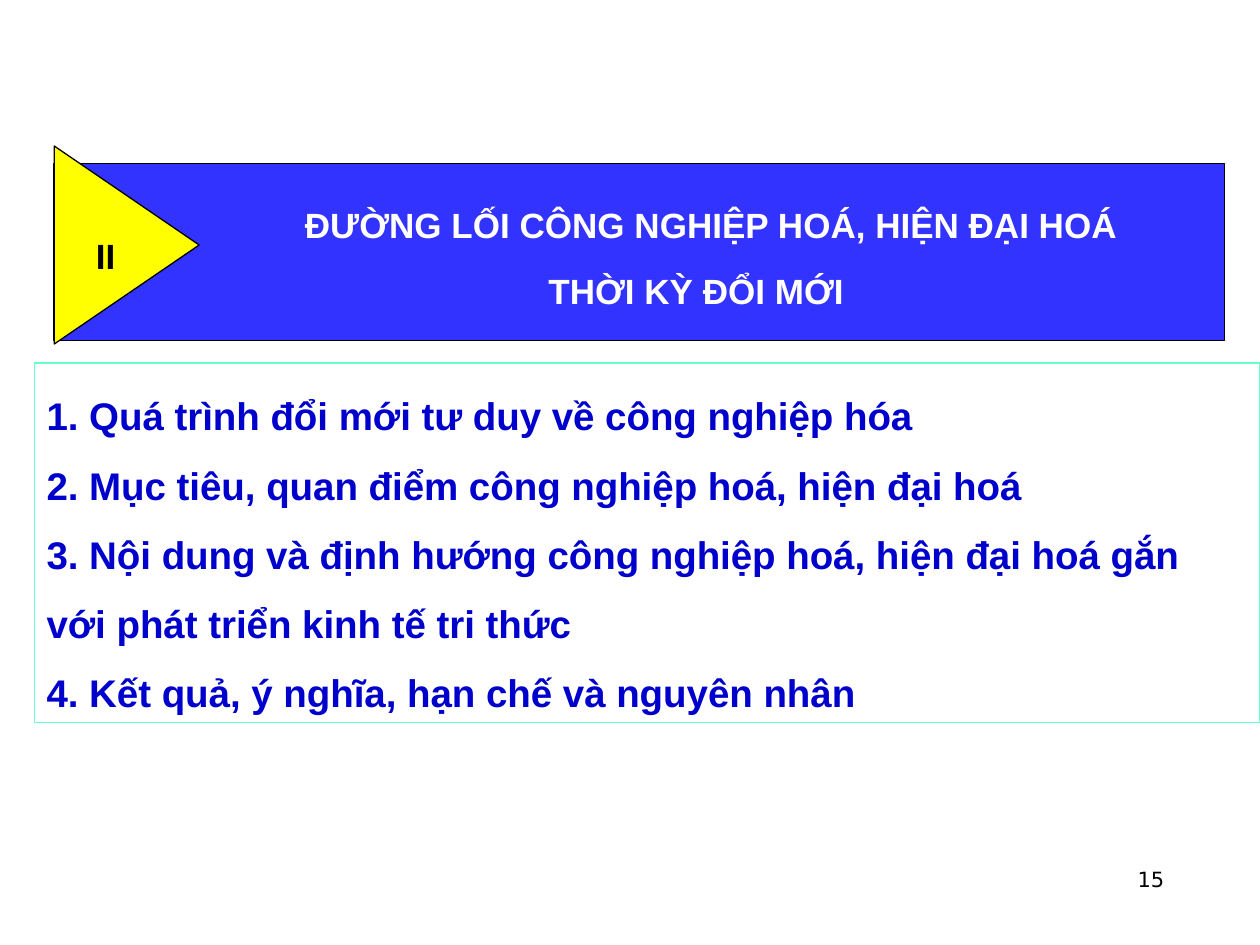
from dataclasses import dataclass

from pptx import Presentation
from pptx.dml.color import RGBColor
from pptx.enum.shapes import MSO_SHAPE
from pptx.enum.text import MSO_ANCHOR, PP_ALIGN
from pptx.util import Cm, Pt


@dataclass(frozen=True)
class Theme:
    font: str = "Arial"
    number_font: str = "DejaVu Sans"
    black: RGBColor = RGBColor(0, 0, 0)
    white: RGBColor = RGBColor(255, 255, 255)
    yellow: RGBColor = RGBColor(255, 255, 0)
    banner: RGBColor = RGBColor(0x33, 0x33, 0xFF)
    outline: RGBColor = RGBColor(0x66, 0xFF, 0xCC)
    topic: RGBColor = RGBColor(0, 0, 0xCC)
    topic_size: Pt = Pt(22)
    heading_size: Pt = Pt(20)
    number_size: Pt = Pt(12)
    line_width: Pt = Pt(0.75)


THEME = Theme()
HEADING = ["ĐƯỜNG LỐI CÔNG NGHIỆP HOÁ, HIỆN ĐẠI HOÁ", "THỜI KỲ ĐỔI MỚI"]
TOPICS = [
    "1. Quá trình đổi mới tư duy về công nghiệp hóa",
    "2. Mục tiêu, quan điểm công nghiệp hoá, hiện đại hoá",
    "3. Nội dung và định hướng công nghiệp hoá, hiện đại hoá gắn với phát triển kinh tế tri thức",
    "4. Kết quả, ý nghĩa, hạn chế và nguyên nhân",
]


def add_block(page, kind, bounds, line, fill=None):
    block = page.shapes.add_shape(kind, *map(Cm, bounds))
    block.shadow.inherit = False
    if fill is None:
        block.fill.background()
    else:
        block.fill.solid()
        block.fill.fore_color.rgb = fill
    block.line.color.rgb = line
    block.line.width = THEME.line_width
    return block


def write_lines(box, lines, size, color, align, spacing=1.0, bold=True, font=THEME.font):
    frame = box.text_frame
    frame.word_wrap = True
    frame.vertical_anchor = MSO_ANCHOR.TOP
    for index, line in enumerate(lines):
        para = frame.paragraphs[0] if index == 0 else frame.add_paragraph()
        para.text = line
        para.alignment = align
        para.line_spacing = spacing
        para.font.name = font
        para.font.size = size
        para.font.bold = bold
        para.font.color.rgb = color
    return frame


def add_text(page, bounds, lines, size, color, align, **style):
    box = page.shapes.add_textbox(*map(Cm, bounds))
    return write_lines(box, lines, size, color, align, **style)


def add_topics(page):
    box = add_block(page, MSO_SHAPE.RECTANGLE, (0.69, 7.32, 24.71, 7.24), THEME.outline)
    write_lines(box, TOPICS, THEME.topic_size, THEME.topic, PP_ALIGN.LEFT, spacing=1.5)


def add_banner(page):
    add_block(page, MSO_SHAPE.RECTANGLE, (1.09, 3.3, 23.6, 3.56), THEME.black, THEME.banner)
    marker = add_block(page, MSO_SHAPE.FLOWCHART_EXTRACT, (0.56, 3.48, 3.99, 2.92),
                       THEME.black, THEME.yellow)
    marker.rotation = 90
    label = add_text(page, (1.53, 4.65, 1.2, 1), ["II"], THEME.heading_size,
                     THEME.black, PP_ALIGN.CENTER)
    label.margin_left = label.margin_right = Cm(0)
    label.vertical_anchor = MSO_ANCHOR.MIDDLE
    heading = add_text(page, (4.09, 3.48, 20.19, 2.97), HEADING, THEME.heading_size,
                       THEME.white, PP_ALIGN.CENTER, spacing=Pt(38))
    for para, side in zip(heading.paragraphs, ("marL", "marR")):
        para._p.get_or_add_pPr().set(side, str(Cm(0.3)))


def main():
    deck = Presentation()
    deck.slide_width, deck.slide_height = Cm(25.4), Cm(19.05)
    page = deck.slides.add_slide(deck.slide_layouts[6])
    add_topics(page)
    add_banner(page)
    add_text(page, (18.21, 17.35, 5.51, 1.32), ["15"], THEME.number_size, THEME.black,
             PP_ALIGN.RIGHT, bold=False, font=THEME.number_font)
    deck.save("out.pptx")


if __name__ == "__main__":
    main()
